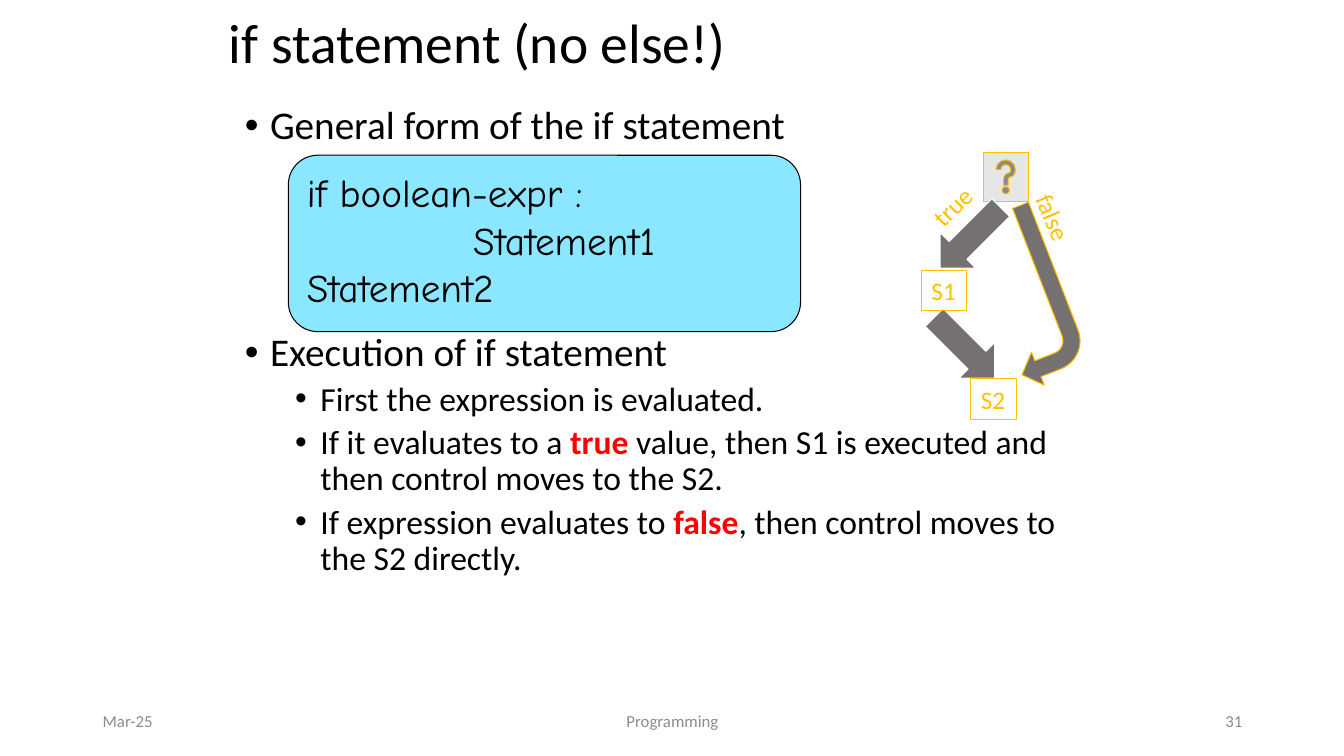
from pptx import Presentation
from pptx.dml.color import RGBColor
from pptx.enum.shapes import MSO_SHAPE as SHAPE
from pptx.enum.text import MSO_ANCHOR, MSO_AUTO_SIZE, PP_ALIGN
from pptx.oxml.ns import qn
from pptx.util import Inches, Pt

# Content
HUES = {"ink": "000000", "key": "FF0000", "foot": "8C8C8C", "code": "8BE6FF",
        "gold": "FFC000", "arrow": "767171", "help": "E7E6E6", "white": "FFFFFF"}
TITLE = "if statement (no else!)"
# level, space before, runs (text, is key word)
POINTS = [
    (0, 10, [("General form of the if statement", False)]),
    (0, 132, [("Execution of if statement", False)]),  # leaves room for the code box
    (1, 5, [("First the expression is evaluated.", False)]),
    (1, 5, [("If it evaluates to a ", False), ("true ", True),
            ("value, then S1 is executed and then control moves to the S2.", False)]),
    (1, 5, [("If expression evaluates to ", False), ("false", True),
            (", then control moves to the S2 directly.", False)]),
]
# text, indent
CODE = [("if boolean-expr :", 0), ("Statement1", 1.65), ("Statement2", 0)]
# shape, box, turn, adjustments, fill, line
FLOW = [
    (SHAPE.ACTION_BUTTON_HELP, (9.75, 1.51, 0.45, 0.49), 0, [], "help", "gold"),
    (SHAPE.RIGHT_ARROW, (9.14, 3.2, 0.85, 0.5), 45, [], "arrow", "white"),
    (SHAPE.RIGHT_ARROW, (9.2, 2.11, 0.85, 0.5), 135, [], "arrow", "white"),
    (SHAPE.BENT_ARROW, (9.86, 2.07, 0.68, 1.75), 158.8,
     [0.25, 0.26, 0.25, 0.44], "arrow", "gold"),
]
# text, box, turn, framed
TAGS = [
    ("S1", (9.14, 2.68, 0.45, 0.4), 0, True),
    ("S2", (9.63, 3.76, 0.45, 0.4), 0, True),
    ("true", (9.13, 1.84, 0.64, 0.4), 315.8, False),
    ("false", (10.11, 1.96, 0.68, 0.4), 66.9, False),
]
FOOT = [("Mar-25", 0.92, 3, PP_ALIGN.LEFT), ("Programming", 4.42, 4.5, PP_ALIGN.CENTER),
        ("31", 9.42, 3, PP_ALIGN.RIGHT)]


def color(name):
    return RGBColor.from_string(HUES[name])


def style(para, size, hue="ink", face="Calibri"):
    font = para.font
    font.size, font.name = Pt(size), face
    font.color.rgb = color(hue)


def indent(para, left, first=0):
    props = para._p.get_or_add_pPr()
    props.set("marL", str(Inches(left)))
    props.set("indent", str(Inches(first)))
    return props


def border(shape, hue):
    shape.line.color.rgb = color(hue)
    shape.line.width = Pt(0.75)


def draw(kind, box, fill, line):
    shape = slide.shapes.add_shape(kind, *map(Inches, box))
    shape.shadow.inherit = False
    shape.fill.solid()
    shape.fill.fore_color.rgb = color(fill)
    border(shape, line)
    return shape


def add_text(box):
    shape = slide.shapes.add_textbox(*map(Inches, box))
    shape.text_frame.word_wrap = True
    return shape


def add_para(frame, index):
    return frame.add_paragraph() if index else frame.paragraphs[0]


deck = Presentation()
deck.slide_width, deck.slide_height = Inches(13.33), Inches(7.5)
slide = deck.slides.add_slide(deck.slide_layouts[5])

# Title
title = slide.shapes.title
title.left, title.top, title.width, title.height = map(Inches, (2.17, 0.08, 8.5, 0.75))
title.text_frame.text = TITLE
title.text_frame.vertical_anchor = MSO_ANCHOR.MIDDLE
head = title.text_frame.paragraphs[0]
head.alignment, head.line_spacing = PP_ALIGN.LEFT, 0.9
style(head, 39.6)

# Bullet points
body = add_text((2.33, 1, 8.5, 5.67)).text_frame
for i, (level, gap, runs) in enumerate(POINTS):
    para = add_para(body, i)
    para.level, para.line_spacing, para.space_before = level, 0.9, Pt(gap)
    style(para, 28 - 4 * level)
    props = indent(para, 0.25 + 0.5 * level, -0.25)
    face = props.makeelement(qn("a:buFont"), {"typeface": "Arial"})
    mark = props.makeelement(qn("a:buChar"), {"char": "•"})
    props.insert_element_before(face, "a:tabLst", "a:defRPr", "a:extLst")
    props.insert_element_before(mark, "a:tabLst", "a:defRPr", "a:extLst")
    for text, key in runs:
        run = para.add_run()
        run.text = text
        if key:
            run.font.bold = True
            run.font.color.rgb = color("key")

# Code box
code = draw(SHAPE.ROUNDED_RECTANGLE, (2.86, 1.54, 5.08, 1.75), "code", "ink")
code.text_frame.vertical_anchor = MSO_ANCHOR.TOP
for i, (text, left) in enumerate(CODE):
    para = add_para(code.text_frame, i)
    para.text, para.alignment = text, PP_ALIGN.LEFT
    style(para, 28, face="Comic Neue")
    indent(para, left)

# Flow diagram
for kind, box, turn, adjust, fill, line in FLOW:
    shape = draw(kind, box, fill, line)
    shape.rotation = turn
    for i, value in enumerate(adjust):
        shape.adjustments[i] = value

for text, box, turn, framed in TAGS:
    tag = add_text(box)
    tag.rotation = turn
    frame = tag.text_frame
    frame.word_wrap, frame.auto_size = False, MSO_AUTO_SIZE.SHAPE_TO_FIT_TEXT
    frame.text = text
    style(frame.paragraphs[0], 18, "gold")
    if framed:
        border(tag, "gold")

# Footer
for text, left, width, align in FOOT:
    frame = add_text((left, 6.95, width, 0.4)).text_frame
    frame.text, frame.vertical_anchor = text, MSO_ANCHOR.MIDDLE
    frame.paragraphs[0].alignment = align
    style(frame.paragraphs[0], 12, "foot")

deck.save("out.pptx")
